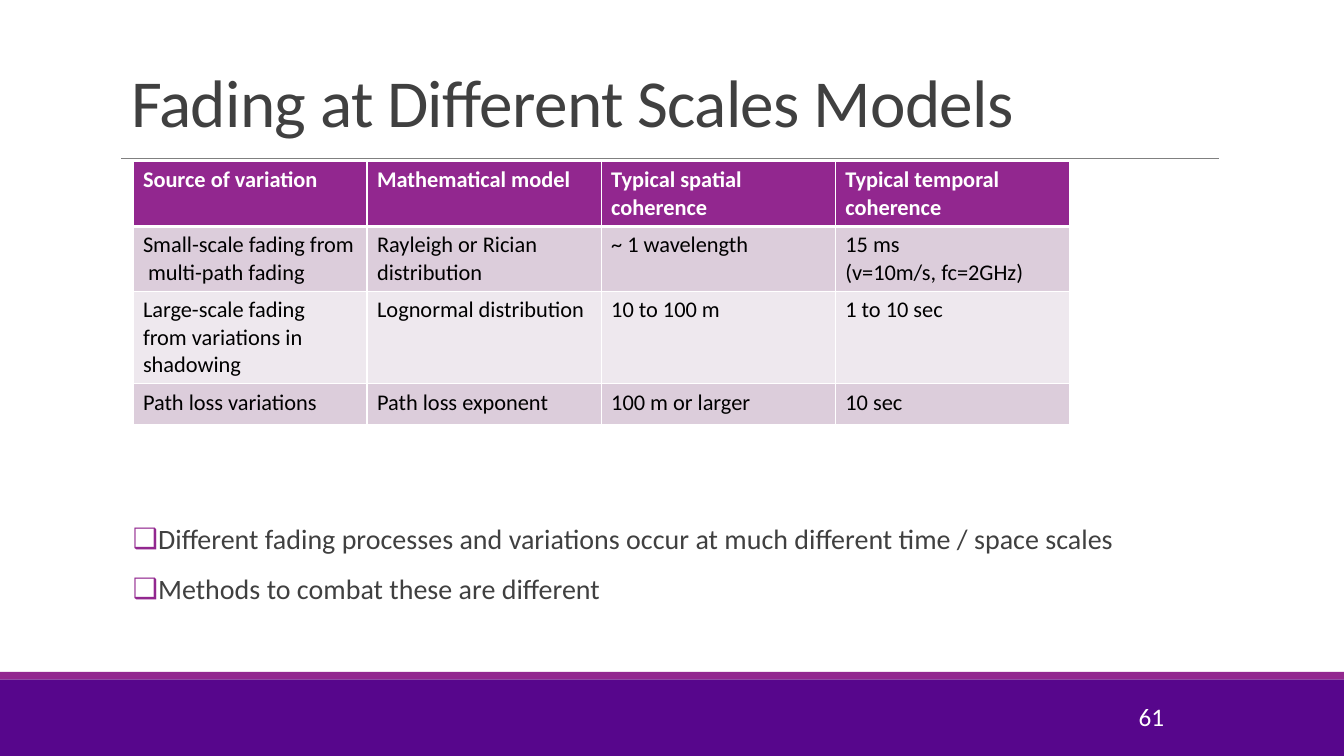
import pptx
import pptx.dml.color
import pptx.enum.shapes
import pptx.enum.text
import pptx.oxml
import pptx.oxml.ns
import pptx.util
from lxml import etree
from pptx.util import Cm

FONT = "Calibri"
PURPLE, VIOLET, WHITE, BLACK, GREY = "92278F", "57068C", "FFFFFF", "000000", "404040"
BANDS = ["DCCDDB", "EEE8EE"]
ROW_HEIGHTS = [1.62, 1.64, 2.32, 1.04]
TABLE_ROWS = [
    ["Source of variation", "Mathematical model", "Typical spatial coherence", "Typical temporal coherence"],
    ["Small-scale fading from\v multi-path fading", "Rayleigh or Rician distribution",
     "~ 1 wavelength", "15 ms\n(v=10m/s, fc=2GHz)"],
    ["Large-scale fading \vfrom variations in shadowing", "Lognormal distribution", "10 to 100 m", "1 to 10 sec"],
    ["Path loss variations", "Path loss exponent", "100 m or larger", "10 sec"],
]
BULLETS = [
    "Different fading processes and variations occur at much different time / space scales",
    "Methods to combat these are different",
]


def color(hex_text):
    """Return the colour for a hex string."""
    return pptx.dml.color.RGBColor.from_string(hex_text)


def write_text(text_frame, text, size, font_color, bold=False, align="LEFT", anchor="TOP",
               line_spacing=1.0, before=0, after=0, tracking=None):
    """Fill a text frame and format all of its paragraphs."""
    text_frame.text = text
    text_frame.word_wrap = True
    text_frame.vertical_anchor = pptx.enum.text.MSO_ANCHOR[anchor]
    for paragraph in text_frame.paragraphs:
        paragraph.alignment = pptx.enum.text.PP_ALIGN[align]
        paragraph.line_spacing = line_spacing
        paragraph.space_before = pptx.util.Pt(before)
        paragraph.space_after = pptx.util.Pt(after)
        for run in paragraph.runs:
            run.font.name = FONT
            run.font.size = pptx.util.Pt(size)
            run.font.bold = bold
            run.font.color.rgb = color(font_color)
            if tracking is not None:
                run.font._element.set("spc", str(tracking))


def place(shape, left, top, width, height):
    """Move and size a shape, in centimetres."""
    shape.left, shape.top, shape.width, shape.height = Cm(left), Cm(top), Cm(width), Cm(height)


def add_bar(slide, top, height, fill):
    """Add a band across the slide."""
    bar = slide.shapes.add_shape(pptx.enum.shapes.MSO_SHAPE.RECTANGLE, 0, Cm(top), Cm(33.87), Cm(height))
    bar.shadow.inherit = False
    bar.fill.solid()
    bar.fill.fore_color.rgb = color(fill)
    bar.line.fill.background()


def add_rule(slide, left, right, top):
    """Add the thin line under the title."""
    rule = slide.shapes.add_connector(
        pptx.enum.shapes.MSO_CONNECTOR.STRAIGHT, Cm(left), Cm(top), Cm(right), Cm(top))
    rule.line.color.rgb = color("808080")
    rule.line.width = pptx.util.Pt(0.5)
    etree.SubElement(rule._element.spPr, pptx.oxml.ns.qn("a:effectLst"))


def add_border(cell, side, points):
    """Add a white border to one side of a cell."""
    border = pptx.oxml.parse_xml(
        f'<a:ln{side} {pptx.oxml.ns.nsdecls("a")} w="{pptx.util.Pt(points)}">'
        f'<a:solidFill><a:srgbClr val="{WHITE}"/></a:solidFill></a:ln{side}>')
    cell._tc.get_or_add_tcPr().append(border)


def add_bullet(paragraph, character, bullet_color):
    """Give a paragraph a coloured bullet and a hanging indent."""
    properties = paragraph._p.get_or_add_pPr()
    properties.set("marL", str(Cm(0.25)))
    properties.set("indent", str(-Cm(0.25)))
    for tag in (f'<a:buClr %s><a:srgbClr val="{bullet_color}"/></a:buClr>',
                f'<a:buChar %s char="{character}"/>'):
        properties.append(pptx.oxml.parse_xml(tag % pptx.oxml.ns.nsdecls("a")))


def add_fading_table(slide):
    """Add the table of fading models."""
    column_count = len(TABLE_ROWS[0])
    table = slide.shapes.add_table(
        len(TABLE_ROWS), column_count, Cm(3.35), Cm(4.07), Cm(5.9 * column_count), Cm(sum(ROW_HEIGHTS))).table
    for row_index, texts in enumerate(TABLE_ROWS):
        table.rows[row_index].height = Cm(ROW_HEIGHTS[row_index])
        header = row_index == 0
        for column_index, text in enumerate(texts):
            cell = table.cell(row_index, column_index)
            write_text(cell.text_frame, text, 16, WHITE if header else BLACK, bold=header)
            for side in "LRTB":
                heavy = (row_index, side) in [(0, "B"), (1, "T")]
                add_border(cell, side, 3 if heavy else 1)
            cell.fill.solid()
            cell.fill.fore_color.rgb = color(PURPLE if header else BANDS[(row_index - 1) % 2])


def main():
    """Build and save the slide."""
    presentation = pptx.Presentation()
    presentation.slide_width, presentation.slide_height = Cm(33.87), Cm(19.05)
    slide = presentation.slides.add_slide(presentation.slide_layouts[1])
    add_bar(slide, 17.12, 1.93, VIOLET)
    add_bar(slide, 16.93, 0.19, PURPLE)
    add_rule(slide, 3.05, 30.73, 3.99)

    title, body = slide.placeholders
    place(title, 3.05, 0.79, 27.94, 2.9)
    write_text(title.text_frame, "Fading at Different Scales Models", 48, GREY,
               anchor="BOTTOM", line_spacing=0.85, tracking=-50)
    title.text_frame.auto_size = pptx.enum.text.MSO_AUTO_SIZE.NONE

    add_fading_table(slide)

    place(body, 3.35, 13.11, 26.26, 4.95)
    write_text(body.text_frame, "\n".join(BULLETS), 20, GREY, line_spacing=0.9, before=12, after=2)
    body.text_frame.auto_size = pptx.enum.text.MSO_AUTO_SIZE.NONE
    body.text_frame.margin_left = body.text_frame.margin_right = 0
    for paragraph in body.text_frame.paragraphs:
        add_bullet(paragraph, "❑", PURPLE)

    number = slide.shapes.add_textbox(Cm(25.96), Cm(17.55), Cm(3.63), Cm(1.02))
    write_text(number.text_frame, "61", 18, WHITE, align="RIGHT", anchor="MIDDLE")
    presentation.save("out.pptx")


if __name__ == "__main__":
    main()
